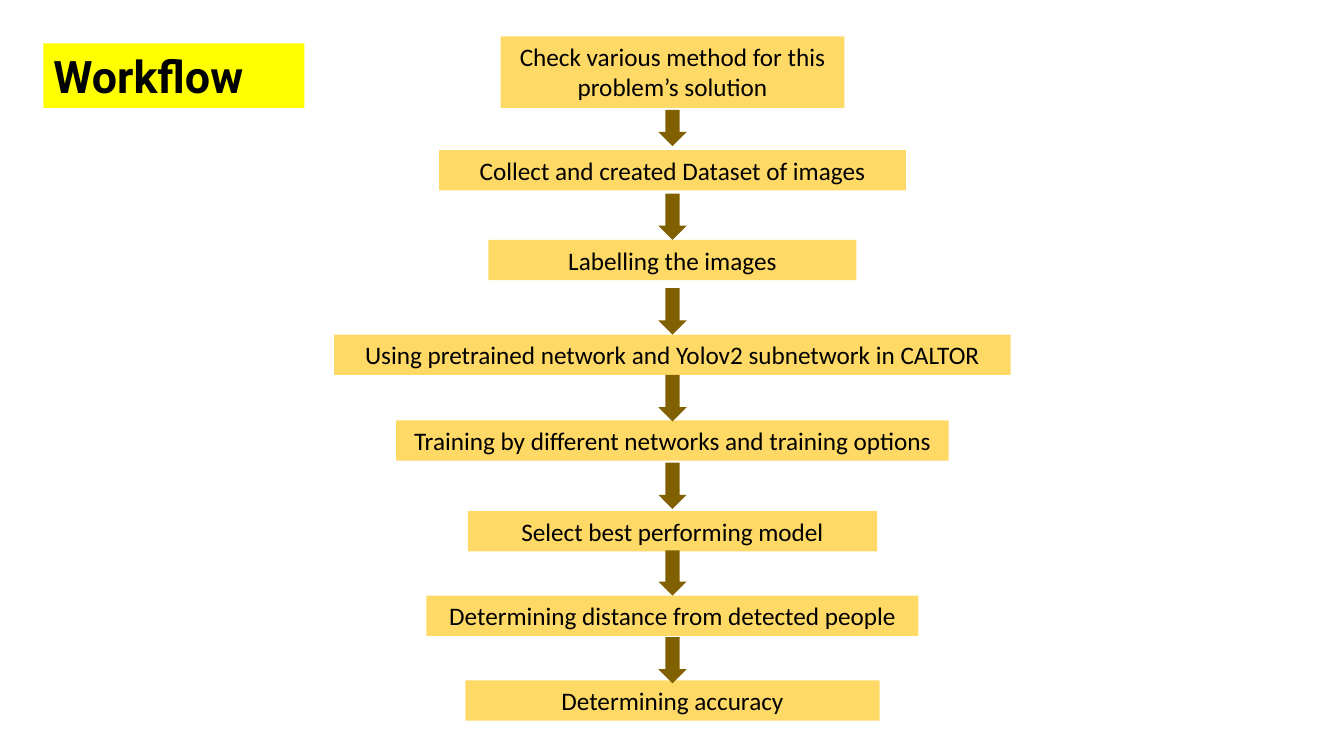
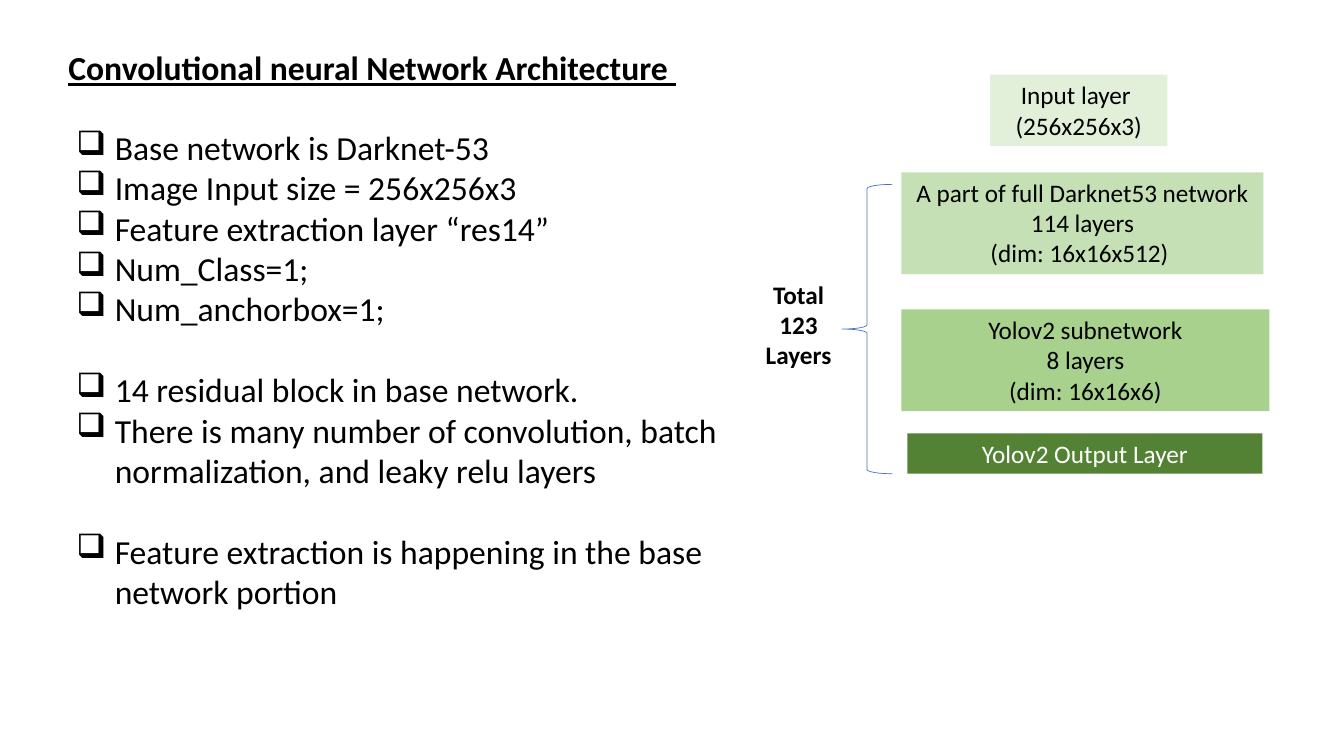
from lxml import etree
from pptx import Presentation, util as u
from pptx.dml.color import RGBColor
from pptx.enum import shapes, text
from pptx.oxml.ns import qn

# Shared colours and fonts
BLACK = RGBColor(0x00, 0x00, 0x00)
WHITE = RGBColor(0xFF, 0xFF, 0xFF)
YELLOW = RGBColor(0xFF, 0xFF, 0x00)
GOLD = RGBColor(0xFF, 0xD9, 0x66)
BROWN = RGBColor(0x80, 0x60, 0x00)
BLUE = RGBColor(0x44, 0x72, 0xC4)
GREEN_PALE = RGBColor(0xE2, 0xF0, 0xD9)
GREEN_LIGHT = RGBColor(0xC5, 0xE0, 0xB4)
GREEN_MID = RGBColor(0xA9, 0xD1, 0x8E)
GREEN_DARK = RGBColor(0x54, 0x82, 0x35)
BODY_FONT, TITLE_FONT = "Calibri", "Roboto"

# Lengths are px, 100 to the inch
SCALE = 9144
PAGE_SIZE = (1333, 750)

# Workflow steps: text, top, width, height
FLOW_CENTRE = 667
STEPS = [
    ("Check various method for this problem’s solution", 36, 341, 71),
    ("Collect and created Dataset of images", 149, 463, 40),
    ("Labelling the images", 238, 365, 40),
    ("Using pretrained network and Yolov2 subnetwork in CALTOR", 332, 671, 40),
    ("Training by different networks and training options", 417, 548, 40),
    ("Select best performing model", 507, 406, 40),
    ("Determining distance from detected people", 591, 488, 40),
    ("Determining accuracy", 675, 411, 40),
]
# Arrows between the steps: top, height
ARROW_WIDTH = 28
ARROWS = [(109, 36), (192, 46), (286, 46), (372, 46), (459, 46), (546, 45), (632, 46)]

# Architecture notes, in groups set apart by one line
NOTE_GROUPS = [
    ["Base network is Darknet-53", "Image Input size = 256x256x3",
     "Feature extraction layer “res14”", "Num_Class=1;", "Num_anchorbox=1;"],
    ["14 residual block in base network.",
     "There is many number of convolution, batch normalization, and leaky relu layers"],
    ["Feature extraction is happening in the base network portion"],
]
NOTE_INDENT = 38
GROUP_GAP = 29

# Network layers: lines, place, fill, text colour
LAYERS = [
    (["Input layer ", "(256x256x3)"], (982, 74, 176, 71), GREEN_PALE, BLACK),
    (["A part of full Darknet53 network", "114 layers", "(dim: 16x16x512) "],
     (894, 171, 359, 101), GREEN_LIGHT, BLACK),
    (["Yolov2 subnetwork", "8 layers", "(dim: 16x16x6)"],
     (894, 307, 365, 101), GREEN_MID, BLACK),
    (["Yolov2 Output Layer"], (900, 430, 352, 40), GREEN_DARK, WHITE),
]


def px(length):
    return u.Emu(round(length * SCALE))


def add_figure(page, preset, place, fill=None, line=None):
    """Add a preset shape with plain fill and line."""
    figure = page.shapes.add_shape(preset, *map(px, place))
    figure.shadow.inherit = False
    if fill is None:
        figure.fill.background()
    else:
        figure.fill.solid()
        figure.fill.fore_color.rgb = fill
    if line is None:
        figure.line.fill.background()
    else:
        figure.line.color.rgb = line
        figure.line.width = u.Pt(0.5)
    return figure


def add_text(page, lines, place, fill=None, size=18, font=BODY_FONT, color=BLACK,
             bold=False, underline=False, align=text.PP_ALIGN.CENTER):
    """Add a text box, filled or clear, with one paragraph for each line."""
    if fill is None:
        box = page.shapes.add_textbox(*map(px, place))
    else:
        box = add_figure(page, shapes.MSO_SHAPE.RECTANGLE, place, fill)
    frame = box.text_frame
    frame.word_wrap = True
    frame.vertical_anchor = text.MSO_ANCHOR.TOP
    for index, line in enumerate(lines):
        para = frame.paragraphs[0] if index == 0 else frame.add_paragraph()
        para.alignment = align
        span = para.add_run()
        span.text = line
        span.font.name, span.font.size = font, u.Pt(size)
        span.font.bold, span.font.underline = bold, underline
        span.font.color.rgb = color
    return frame


def add_bullet(para):
    props = para._p.get_or_add_pPr()
    props.set("marL", str(px(NOTE_INDENT)))
    props.set("indent", str(-px(NOTE_INDENT)))
    etree.SubElement(props, qn("a:buChar")).set("char", "❑")


def build_workflow(page):
    add_text(page, ["Workflow"], (43, 43, 259, 64), fill=YELLOW, size=32,
             font=TITLE_FONT, bold=True, align=text.PP_ALIGN.LEFT)
    for label, top, width, height in STEPS:
        add_text(page, [label], (FLOW_CENTRE - width / 2, top, width, height), fill=GOLD)
    for top, height in ARROWS:
        place = (FLOW_CENTRE - ARROW_WIDTH / 2, top, ARROW_WIDTH, height)
        add_figure(page, shapes.MSO_SHAPE.DOWN_ARROW, place, BROWN)


def build_architecture(page):
    add_text(page, ["Convolutional neural Network Architecture "], (58, 42, 1115, 50),
             size=24, bold=True, underline=True, align=text.PP_ALIGN.LEFT)

    # Bulleted notes
    notes = [note for group in NOTE_GROUPS for note in group]
    frame = add_text(page, notes, (66, 121, 681, 495), size=24, align=text.PP_ALIGN.LEFT)
    openers = [group[0] for group in NOTE_GROUPS[1:]]
    for para in frame.paragraphs:
        if para.text in openers:
            para.space_before = u.Pt(GROUP_GAP)
        add_bullet(para)

    # Layer stack with its total
    for lines, place, fill, color in LAYERS:
        add_text(page, lines, place, fill=fill, color=color)
    add_figure(page, shapes.MSO_SHAPE.LEFT_BRACE, (835, 183, 50, 287), line=BLUE)
    add_text(page, ["Total 123 Layers"], (744, 272, 96, 101), bold=True)


def main():
    deck = Presentation()
    deck.slide_width, deck.slide_height = map(px, PAGE_SIZE)
    for build in (build_workflow, build_architecture):
        build(deck.slides.add_slide(deck.slide_layouts[6]))
    deck.save("out.pptx")


if __name__ == "__main__":
    main()
